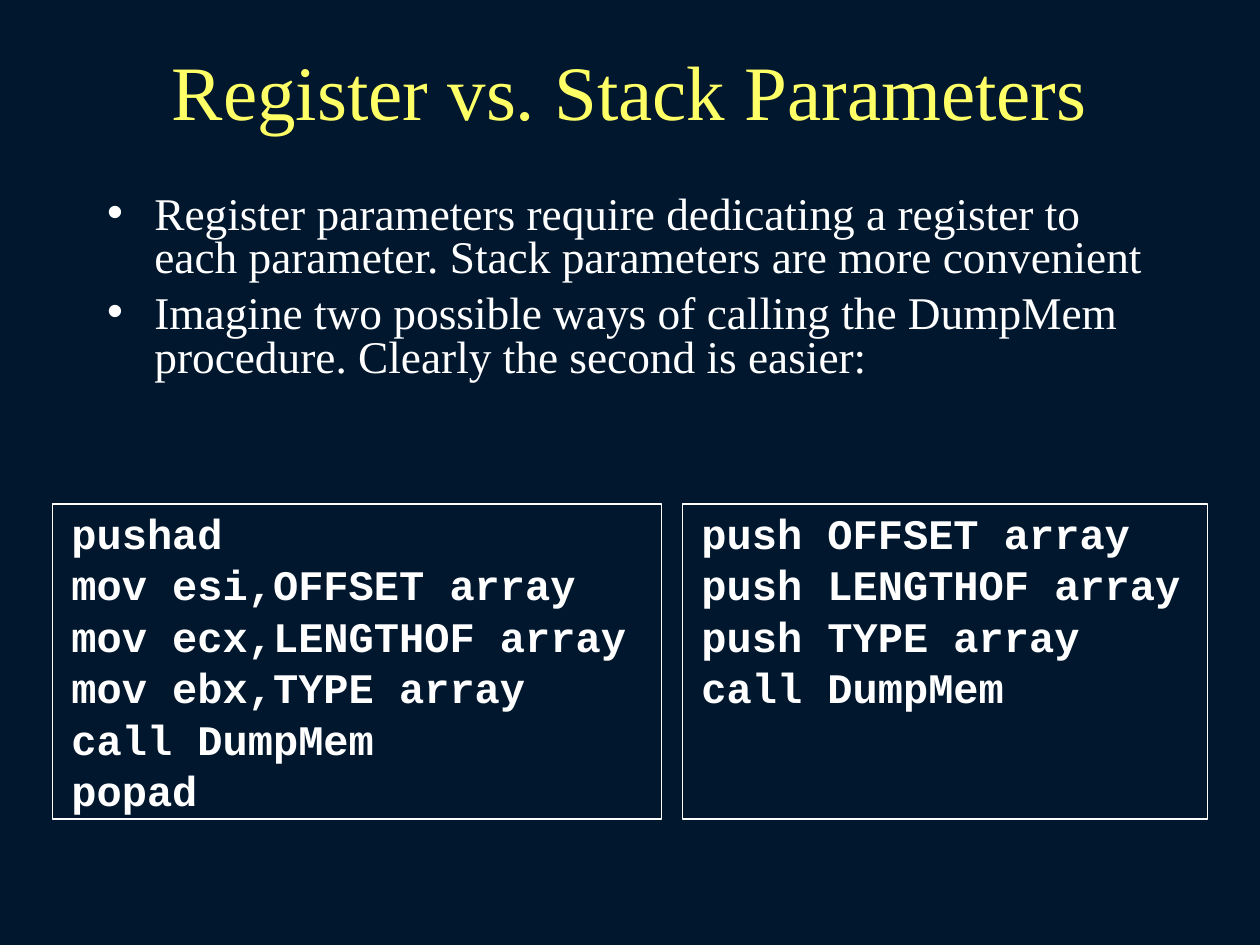
from dataclasses import dataclass

from pptx import Presentation
from pptx import util as u
from pptx.dml.color import RGBColor
from pptx.enum import shapes, text

Pt = u.Pt
NAVY, YELLOW, WHITE = "00172E", "FFFF66", "FFFFFF"
CODE_TOP, CODE_HEIGHT = 288, 180

TITLE_FONT = {"name": "Times New Roman", "size": Pt(44), "bold": False}
BODY_FONT = {"name": "Times New Roman", "size": Pt(25.9), "bold": False}
CODE_FONT = {"name": "Courier New", "size": Pt(24), "bold": True}
BODY_FRAME = {"word_wrap": True, "auto_size": text.MSO_AUTO_SIZE.NONE,
              "vertical_anchor": text.MSO_ANCHOR.TOP}
TITLE_FRAME = {**BODY_FRAME, "vertical_anchor": text.MSO_ANCHOR.MIDDLE}
CODE_FRAME = {**BODY_FRAME, "margin_left": Pt(10.8), "margin_right": Pt(10.8),
              "margin_top": Pt(14.4), "margin_bottom": Pt(14.4)}


@dataclass
class CodeBox:
    left: float
    width: float
    lines: list[str]


TITLE = "Register vs. Stack Parameters"
BULLETS = [
    "Register parameters require dedicating a register to each parameter. "
    "Stack parameters are more convenient",
    "Imagine two possible ways of calling the DumpMem procedure. "
    "Clearly the second is easier:",
]
CODE_BOXES = [
    CodeBox(30, 348, ["pushad", "mov esi,OFFSET array", "mov ecx,LENGTHOF array",
                      "mov ebx,TYPE array", "call DumpMem", "popad"]),
    CodeBox(390, 300, ["push OFFSET array", "push LENGTHOF array",
                       "push TYPE array", "call DumpMem"]),
]


def color(target, value: str) -> None:
    target.rgb = RGBColor.from_string(value)


def apply(target, values: dict) -> None:
    for name, value in values.items():
        setattr(target, name, value)


def place(sp, left: float, top: float, width: float, height: float) -> None:
    apply(sp, {"left": Pt(left), "top": Pt(top),
               "width": Pt(width), "height": Pt(height)})


def write(tf, lines: list[str], frame: dict, font: dict, fill: str,
          align, spacing: float, before: float) -> None:
    apply(tf, frame)
    for i, line in enumerate(lines):
        p = tf.paragraphs[0] if i == 0 else tf.add_paragraph()
        apply(p, {"alignment": align, "line_spacing": spacing,
                  "space_before": Pt(before if i else 0)})
        r = p.add_run()
        r.text = line
        apply(r.font, font)
        color(r.font.color, fill)


def add_code(s, box: CodeBox) -> None:
    sp = s.shapes.add_shape(shapes.MSO_SHAPE.RECTANGLE, Pt(box.left), Pt(CODE_TOP),
                            Pt(box.width), Pt(CODE_HEIGHT))
    sp.shadow.inherit = False
    sp.fill.background()
    color(sp.line.color, WHITE)
    sp.line.width = Pt(0.75)
    write(sp.text_frame, box.lines, CODE_FRAME, CODE_FONT, WHITE,
          text.PP_ALIGN.LEFT, 0.5, 15)


def main() -> None:
    prs = Presentation()
    prs.slide_width, prs.slide_height = Pt(720), Pt(540)
    s = prs.slides.add_slide(prs.slide_layouts[1])
    s.background.fill.solid()
    color(s.background.fill.fore_color, NAVY)

    title, body = s.shapes.title, s.placeholders[1]
    place(title, 54, 18, 612, 66)
    write(title.text_frame, [TITLE], TITLE_FRAME, TITLE_FONT, YELLOW,
          text.PP_ALIGN.CENTER, 1.0, 0)
    place(body, 54, 108, 612, 164)
    write(body.text_frame, BULLETS, BODY_FRAME, BODY_FONT, WHITE,
          text.PP_ALIGN.LEFT, 0.8, 7)

    for box in CODE_BOXES:
        add_code(s, box)
    prs.save("out.pptx")


if __name__ == "__main__":
    main()
